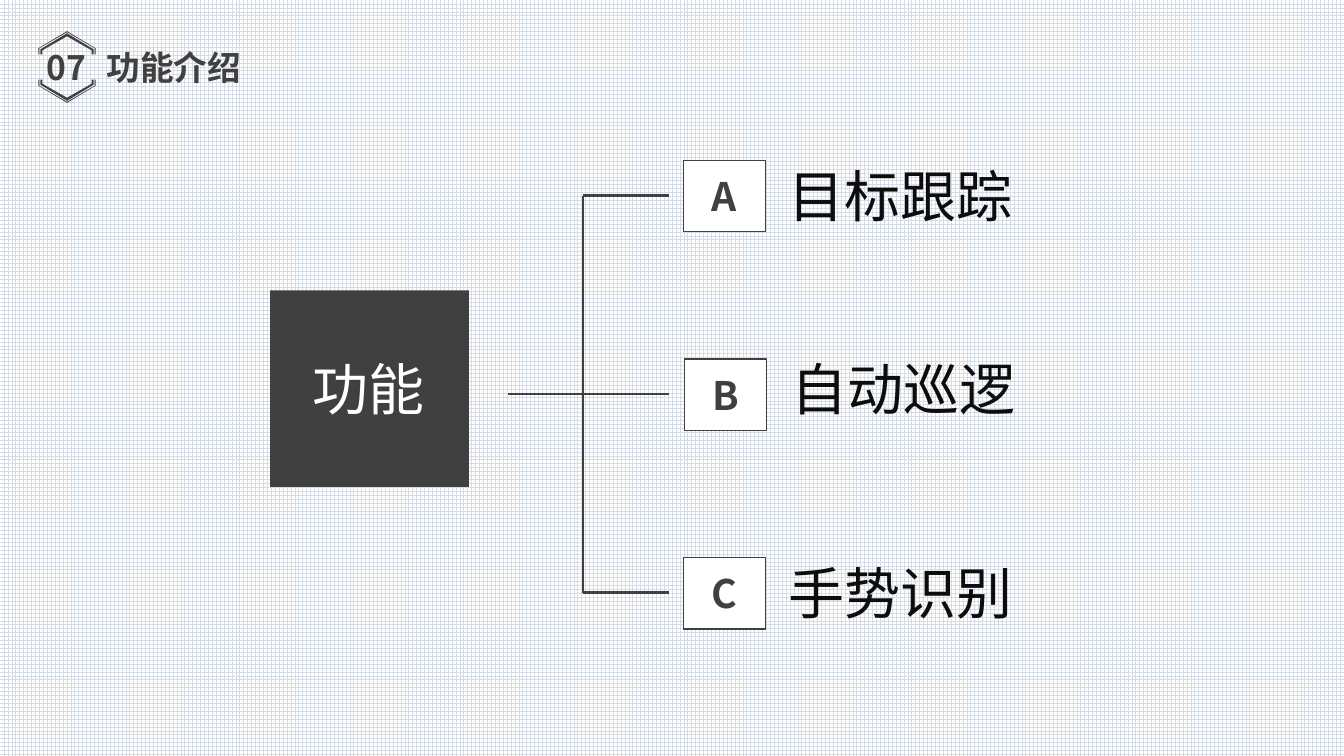
"""Builds the feature introduction slide: one topic branching into three functions."""
from lxml.etree import SubElement
from pptx import Presentation
from pptx.dml.color import RGBColor
from pptx.enum.dml import MSO_PATTERN
from pptx.enum.shapes import MSO_CONNECTOR, MSO_SHAPE
from pptx.enum.text import MSO_ANCHOR, MSO_AUTO_SIZE, PP_ALIGN
from pptx.oxml.ns import qn
from pptx.util import Inches, Pt

GRID = MSO_PATTERN.LARGE_GRID
STRAIGHT = MSO_CONNECTOR.STRAIGHT
RECTANGLE = MSO_SHAPE.RECTANGLE
TOP, MIDDLE = MSO_ANCHOR.TOP, MSO_ANCHOR.MIDDLE
FIT_SHAPE = MSO_AUTO_SIZE.SHAPE_TO_FIT_TEXT
LEFT, CENTER = PP_ALIGN.LEFT, PP_ALIGN.CENTER

DARK = RGBColor(0x40, 0x40, 0x40)
BLACK = RGBColor(0x0D, 0x0D, 0x0D)
WHITE = RGBColor(0xFF, 0xFF, 0xFF)
GRID_BLUE = RGBColor(0xD6, 0xDC, 0xE5)

TRUNK_X, BRANCH_END = 5.78, 6.64
BRANCHES = [(TRUNK_X, 1.94), (5.04, 3.91), (TRUNK_X, 5.88)]
FUNCTIONS = [
    ("A", 6.78, 1.59, "目标跟踪", 7.72, 1.55),
    ("B", 6.79, 3.56, "自动巡逻", 7.75, 3.47),
    ("C", 6.78, 5.53, "手势识别", 7.72, 5.49),
]
BADGE_SPAN = 1.33
BADGE_BANDS = [
    [(0.38, 0.48, 0.31), (0.39, 0.48, 0.32)],
    [(0.40, 0.49, 0.33), (0.42, 0.50, 0.36)],
]


class SlideBuilder:
    """Holds the shared style and the slide being drawn."""

    font_name = "Noto Sans CJK SC"

    def __init__(self, slide):
        self.slide = slide
        self.shapes = slide.shapes

    def background(self):
        fill = self.slide.background.fill
        fill.patterned()
        fill.pattern = GRID
        fill.fore_color.rgb = GRID_BLUE
        fill.back_color.rgb = WHITE

    def line(self, x1, y1, x2, y2):
        connector = self.shapes.add_connector(
            STRAIGHT, Inches(x1), Inches(y1), Inches(x2), Inches(y2))
        connector.line.color.rgb = DARK
        connector.line.width = Pt(1.75)
        SubElement(connector._element.spPr, qn("a:effectLst"))

    def set_text(self, frame, text, size, color, bold=False, align=LEFT):
        paragraph = frame.paragraphs[0]
        paragraph.text = text
        paragraph.alignment = align
        font = paragraph.font
        font.size = Pt(size)
        font.bold = bold
        font.color.rgb = color
        font.name = self.font_name
        defaults = paragraph._p.pPr.find(qn("a:defRPr"))
        SubElement(defaults, qn("a:ea"), typeface=self.font_name)

    def box(self, x, y, width, height, fill, border=None):
        box = self.shapes.add_shape(
            RECTANGLE, Inches(x), Inches(y), Inches(width), Inches(height))
        self.paint(box, fill)
        if border is not None:
            box.line.color.rgb = border
            box.line.width = Pt(1)
        return box

    def paint(self, shape, fill):
        shape.shadow.inherit = False
        shape.fill.solid()
        shape.fill.fore_color.rgb = fill
        shape.line.fill.background()

    def letter_box(self, letter, x, y):
        frame = self.box(x, y, 0.81, 0.71, WHITE, DARK).text_frame
        frame.vertical_anchor = MIDDLE
        self.set_text(frame, letter, 28, DARK, True, CENTER)

    def label(self, text, x, y, width, height, size, color,
              bold=False, align=LEFT, anchor=TOP, grow=True):
        frame = self.shapes.add_textbox(
            Inches(x), Inches(y), Inches(width), Inches(height)).text_frame
        frame.word_wrap = not grow
        if grow:
            frame.auto_size = FIT_SHAPE
        frame.vertical_anchor = anchor
        self.set_text(frame, text, size, color, bold, align)

    def outline(self, points):
        start, *rest = [(Inches(x), Inches(y)) for x, y in points]
        builder = self.shapes.build_freeform(*start)
        builder.add_line_segments(rest, close=True)
        self.paint(builder.convert_to_shape(), DARK)

    def badge_half(self, band, flipped):
        outer, inner = [self.roof(*edge) for edge in band]
        points = outer + inner[::-1]
        if flipped:
            points = [(x, BADGE_SPAN - y) for x, y in points]
        self.outline(points)

    def roof(self, left, shoulder, apex):
        right = BADGE_SPAN - left
        return [(left, 0.54), (left, shoulder), (BADGE_SPAN / 2, apex),
                (right, shoulder), (right, 0.54)]


def main():
    deck = Presentation()
    deck.slide_width, deck.slide_height = Inches(13.33), Inches(7.5)
    page = SlideBuilder(deck.slides.add_slide(deck.slide_layouts[6]))
    page.background()

    page.line(TRUNK_X, BRANCHES[0][1], TRUNK_X, BRANCHES[-1][1])
    for start, y in BRANCHES:
        page.line(start, y, BRANCH_END, y)
    for letter, box_x, box_y, name, name_x, name_y in FUNCTIONS:
        page.letter_box(letter, box_x, box_y)
        page.label(name, name_x, name_y, 2.45, 0.77, 40, BLACK)

    page.box(2.68, 2.88, 1.97, 1.95, DARK)
    page.label("功能", 3, 3.47, 1.32, 0.77, 40, WHITE)

    page.label("功能介绍", 0.95, 0.42, 1.55, 0.5, 24, DARK, True, CENTER)
    page.label("07", 0.28, 0.37, 0.76, 0.6, 24, DARK, True, CENTER, MIDDLE, False)
    for flipped in (False, True):
        for band in BADGE_BANDS:
            page.badge_half(band, flipped)

    deck.save("out.pptx")


if __name__ == "__main__":
    main()
